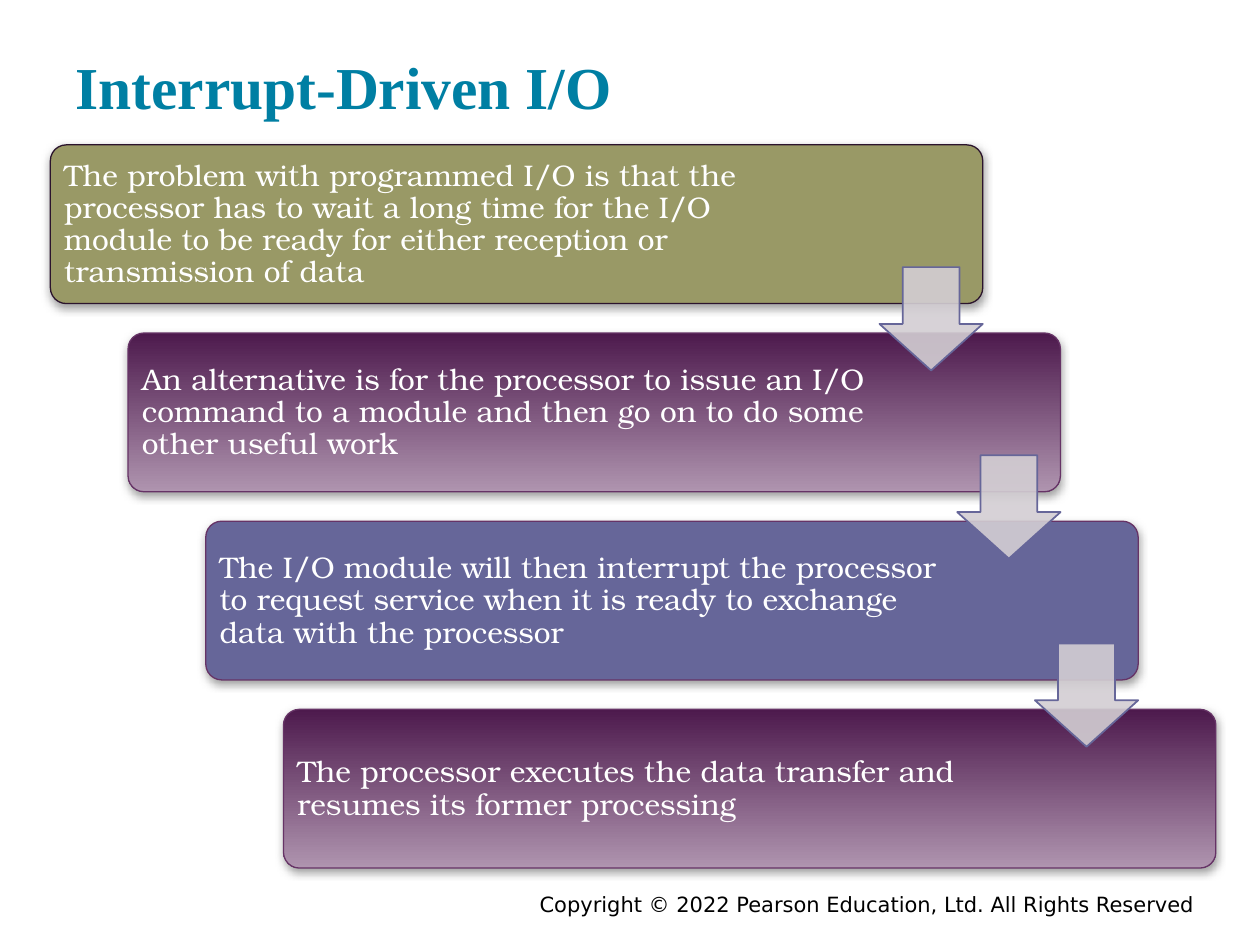
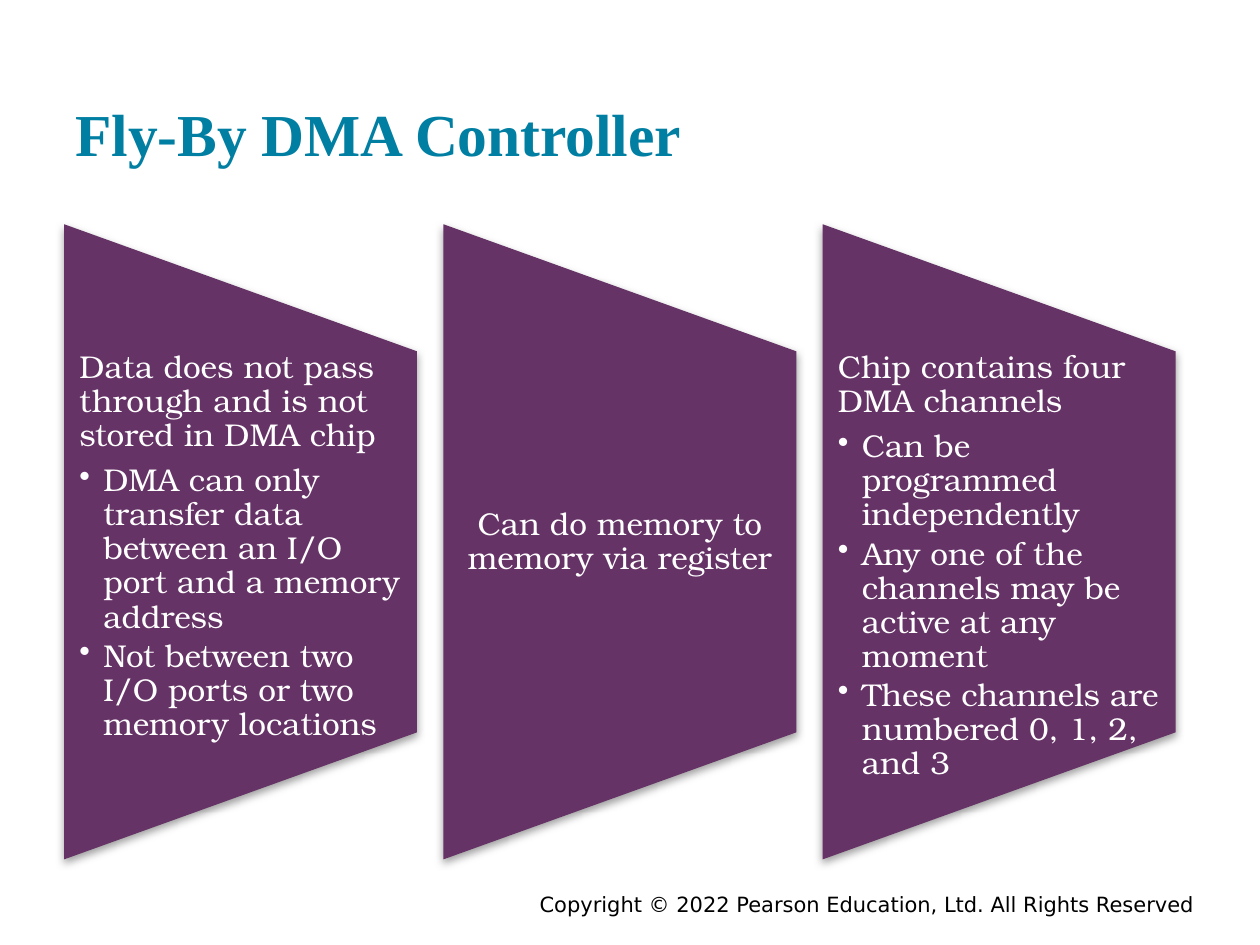
"""Build two slides on interrupt-driven I/O and the fly-by DMA controller."""
from lxml.etree import SubElement
from pptx import Presentation
from pptx.dml.color import RGBColor
from pptx.enum.shapes import MSO_SHAPE as Shape
from pptx.enum.text import MSO_ANCHOR as Anchor, PP_ALIGN as Align
from pptx.oxml.ns import qn
from pptx.util import Inches, Pt

rgb = RGBColor.from_string
TEAL, WHITE, BLACK = "007FA3", "FFFFFF", "000000"
PLUM, DARK_PLUM, PALE_PLUM = "663366", "4D1A4D", "AF94AF"
OLIVE, SLATE, MIST, INK, GRAY = "999966", "666699", "D3CED3", "2B142D", "808080"
TITLE_FONT, BODY_FONT, FOOTER_FONT = "Times New Roman", "TeX Gyre Bonum", "DejaVu Sans"
COPYRIGHT = "Copyright © 2022 Pearson Education, Ltd. All Rights Reserved"


def add_text(slide, box, lines, font, size, color, insets, anchor=Anchor.TOP,
             align=Align.LEFT, bold=False, spacing=None, after=0):
    """Add a text box; every line after the first is a bullet."""
    frame = slide.shapes.add_textbox(*map(Inches, box)).text_frame
    frame.word_wrap = True
    frame.vertical_anchor = anchor
    frame.margin_left = frame.margin_right = Inches(insets[0])
    frame.margin_top = frame.margin_bottom = Inches(insets[1])
    for number, line in enumerate(lines):
        paragraph = frame.paragraphs[0] if number == 0 else frame.add_paragraph()
        paragraph.text = line
        paragraph.alignment = align
        if number:
            paragraph.level = 1
            properties = paragraph._p.get_or_add_pPr()
            properties.set("marL", str(Inches(0.19)))
            properties.set("indent", str(-Inches(0.19)))
            SubElement(properties, qn("a:buChar"), char="•")
        paragraph.line_spacing = spacing
        paragraph.space_after = Pt(3 if number else after)
        paragraph.font.name = font
        paragraph.font.size = Pt(size)
        paragraph.font.bold = bold
        paragraph.font.color.rgb = rgb(color)


def add_shadow(shape):
    """Give a shape the soft shadow that falls below it."""
    shape.shadow.inherit = False
    effects = shape._element.spPr.find(qn("a:effectLst"))
    shadow = SubElement(effects, qn("a:outerShdw"), blurRad=str(Pt(5)), dist=str(Pt(2)),
                        dir="5400000", rotWithShape="0")
    tint = SubElement(shadow, qn("a:srgbClr"), val=GRAY)
    SubElement(tint, qn("a:alpha"), val="75000")


deck = Presentation()
deck.slide_width, deck.slide_height = Inches(10), Inches(7.5)

slides = []
for title, top, height in [("Interrupt-Driven I/O", 0.44, 0.62),
                           ("Fly-By DMA Controller", 0.24, 1.2)]:
    slide = deck.slides.add_slide(deck.slide_layouts[6])
    add_text(slide, (1.75, 7.03, 7.83, 0.22), [COPYRIGHT], FOOTER_FONT, 12, BLACK,
             (0.1, 0.05), align=Align.RIGHT)
    add_text(slide, (0.5, top, 9, height), [title], TITLE_FONT, 34, TEAL,
             (0.1, 0.1), anchor=Anchor.BOTTOM, bold=True)
    slides.append(slide)
interrupt_slide, dma_slide = slides

steps = [
    ("The problem with programmed I/O is that the processor has to wait a long time "
     "for the I/O module to be ready for either reception or transmission of data",
     OLIVE, INK),
    ("An alternative is for the processor to issue an I/O command to a module "
     "and then go on to do some other useful work", None, PLUM),
    ("The I/O module will then interrupt the processor to request service "
     "when it is ready to exchange data with the processor", SLATE, PLUM),
    ("The processor executes the data transfer and resumes its former processing",
     None, PLUM),
]
corners = [(0.4 + 1.85 / 3 * i, 1.15 + 4.48 / 3 * i) for i in range(len(steps))]

for (statement, fill, outline), (left, top) in zip(steps, corners):
    step = interrupt_slide.shapes.add_shape(
        Shape.ROUNDED_RECTANGLE, *map(Inches, (left, top, 7.4, 1.26)))
    step.adjustments[0] = 0.1
    if fill:
        step.fill.solid()
        step.fill.fore_color.rgb = rgb(fill)
    else:
        step.fill.gradient()
        step.fill.gradient_angle = 270
        for stop, shade in zip(step.fill.gradient_stops, (DARK_PLUM, PALE_PLUM)):
            stop.color.rgb = rgb(shade)
    step.line.color.rgb = rgb(outline)
    step.line.width = Pt(0.75)
    add_shadow(step)
    add_text(interrupt_slide, (left + 0.04, top + 0.04, 5.9, 1.19), [statement],
             BODY_FONT, 17, WHITE, (0.07, 0.07), anchor=Anchor.MIDDLE,
             spacing=0.9, after=6)

for left, top in corners[:-1]:
    arrow = interrupt_slide.shapes.add_shape(
        Shape.DOWN_ARROW, *map(Inches, (left + 6.58, top + 0.97, 0.82, 0.82)))
    arrow.adjustments[0], arrow.adjustments[1] = 0.55, 0.45
    arrow.fill.solid()
    arrow.fill.fore_color.rgb = rgb(MIST)
    tint = arrow._element.spPr.find(qn("a:solidFill")).find(qn("a:srgbClr"))
    SubElement(tint, qn("a:alpha"), val="90000")
    arrow.line.color.rgb = rgb(SLATE)
    arrow.line.width = Pt(1)
    arrow.shadow.inherit = False

topics = [
    ["Data does not pass through and is not stored in DMA chip",
     "DMA can only transfer data between an I/O port and a memory address",
     "Not between two I/O ports or two memory locations"],
    ["Can do memory to memory via register"],
    ["Chip contains four DMA channels",
     "Can be programmed independently",
     "Any one of the channels may be active at any moment",
     "These channels are numbered 0, 1, 2, and 3"],
]
for column, lines in enumerate(topics):
    left = 0.51 + 3.01 * column
    panel = dma_slide.shapes.add_shape(
        Shape.FLOWCHART_MANUAL_OPERATION, *map(Inches, (left - 1.12, 2.9, 5.04, 2.8)))
    panel.rotation = 270
    panel.fill.solid()
    panel.fill.fore_color.rgb = rgb(PLUM)
    panel.line.fill.background()
    add_shadow(panel)
    alone = len(lines) == 1
    add_text(dma_slide, (left, 2.79, 2.8, 3.02), lines, BODY_FONT, 18, WHITE, (0.12, 0),
             anchor=Anchor.MIDDLE if alone else Anchor.TOP,
             align=Align.CENTER if alone else Align.LEFT, spacing=0.9, after=6.3)

deck.save("out.pptx")
